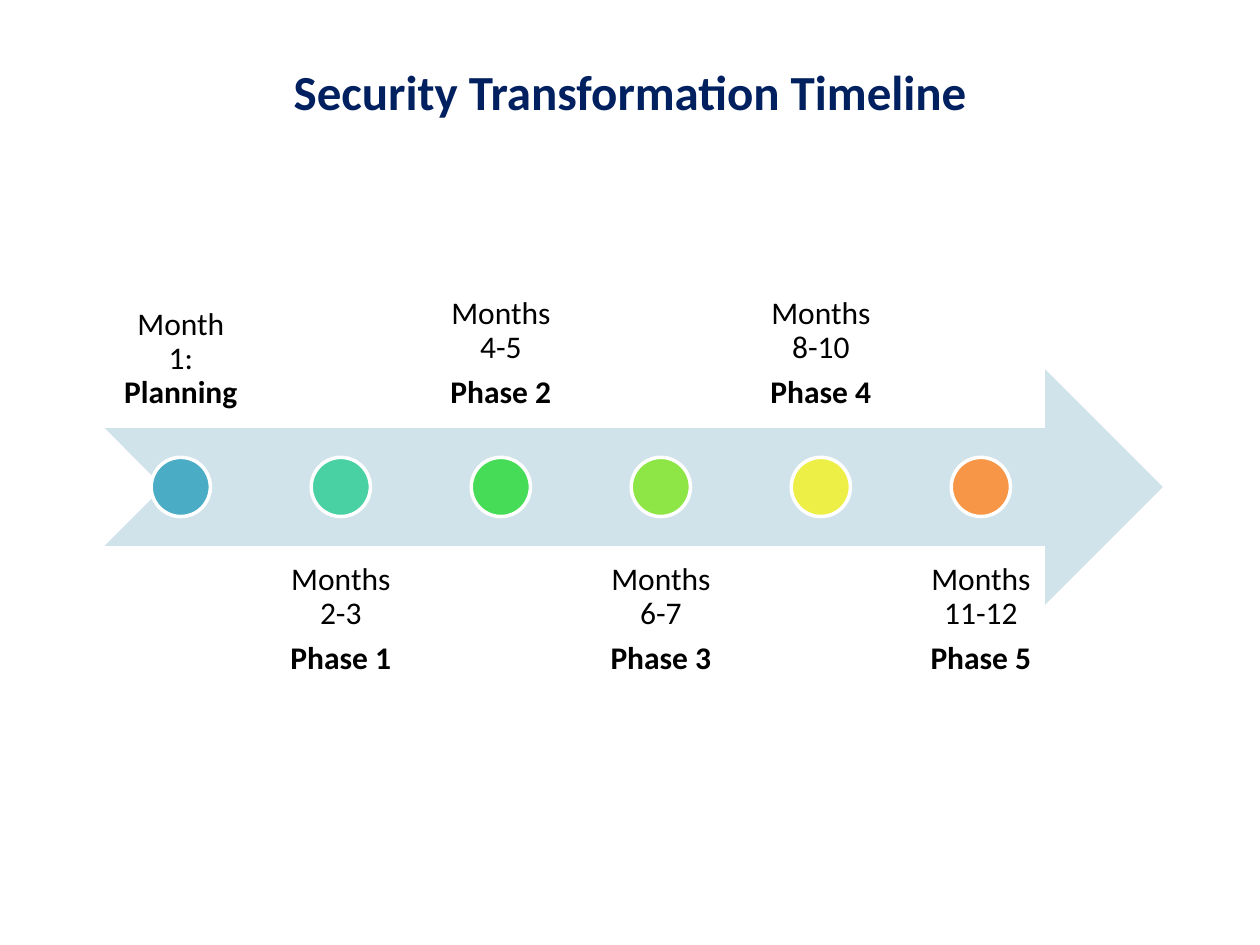
from dataclasses import dataclass

from pptx import Presentation
from pptx import util as u
from pptx.dml.color import RGBColor
from pptx.enum import shapes, text


@dataclass(frozen=True)
class Theme:
    font: str = "Calibri"
    title_color: str = "002060"
    label_color: str = "000000"
    arrow_color: str = "D0E3EA"
    outline_color: str = "FFFFFF"
    title_size: float = 28
    label_size: float = 18
    outline_width: float = 2


@dataclass(frozen=True)
class Run:
    text: str
    bold: bool = False


@dataclass(frozen=True)
class Milestone:
    color: str
    lines: tuple[tuple[Run, ...], ...]


def phase(color: str, months: str, name: str) -> Milestone:
    return Milestone(color, ((Run(months),), (Run(name, bold=True),)))


THEME = Theme()
MILESTONES = (
    Milestone("4BACC6", ((Run("Month 1: "), Run("Planning", bold=True)),)),
    phase("49D1A3", "Months 2-3", "Phase 1"),
    phase("47DC57", "Months 4-5", "Phase 2"),
    phase("8DE646", "Months 6-7", "Phase 3"),
    phase("EEEF46", "Months 8-10", "Phase 4"),
    phase("F79646", "Months 11-12", "Phase 5"),
)

ARROW_LEFT, ARROW_TOP, ARROW_WIDTH, BAND_HEIGHT = 0.83, 2.93, 8.4, 1.87
LABEL_WIDTH, LABEL_INSET, PITCH = 1.21, 0.14, 1.27
LABEL_ABOVE_TOP, LABEL_BELOW_TOP = 1.53, 4.33
DOT_SIZE = 0.47


def add_run(paragraph, run: Run, size: float, color: str) -> None:
    added = paragraph.add_run()
    added.text = run.text
    added.font.name = THEME.font
    added.font.size = u.Pt(size)
    added.font.bold = run.bold
    added.font.color.rgb = RGBColor.from_string(color)


def add_filled_shape(slide, kind, left: float, top: float, width: float,
                     height: float, color: str):
    shape = slide.shapes.add_shape(kind, u.Inches(left), u.Inches(top),
                                   u.Inches(width), u.Inches(height))
    shape.shadow.inherit = False
    shape.fill.solid()
    shape.fill.fore_color.rgb = RGBColor.from_string(color)
    shape.line.fill.background()
    return shape


def add_text_frame(slide, left: float, top: float, width: float, height: float,
                   anchor):
    frame = slide.shapes.add_textbox(u.Inches(left), u.Inches(top),
                                     u.Inches(width), u.Inches(height)).text_frame
    frame.word_wrap = True
    frame.vertical_anchor = anchor
    return frame


def add_title(slide, title: str) -> None:
    frame = add_text_frame(slide, 0.5, 0.23, 9, 0.98, text.MSO_ANCHOR.MIDDLE)
    paragraph = frame.paragraphs[0]
    paragraph.alignment = text.PP_ALIGN.CENTER
    add_run(paragraph, Run(title, bold=True), THEME.title_size, THEME.title_color)


def add_label(slide, milestone: Milestone, left: float, above: bool) -> None:
    frame = add_text_frame(
        slide, left, LABEL_ABOVE_TOP if above else LABEL_BELOW_TOP,
        LABEL_WIDTH, BAND_HEIGHT,
        text.MSO_ANCHOR.BOTTOM if above else text.MSO_ANCHOR.TOP)
    frame.margin_left = frame.margin_right = u.Inches(LABEL_INSET)
    frame.margin_top = frame.margin_bottom = u.Inches(LABEL_INSET)
    for number, line in enumerate(milestone.lines):
        paragraph = frame.add_paragraph() if number else frame.paragraphs[0]
        paragraph.alignment = text.PP_ALIGN.CENTER
        paragraph.line_spacing = 0.9
        paragraph.space_after = u.Pt(0.35 * THEME.label_size)
        for run in line:
            add_run(paragraph, run, THEME.label_size, THEME.label_color)


def add_milestone(slide, index: int, milestone: Milestone) -> None:
    """Draw a dot on the arrow, with labels alternating above and below it."""
    left = ARROW_LEFT + index * PITCH
    add_label(slide, milestone, left, above=index % 2 == 0)
    dot = add_filled_shape(slide, shapes.MSO_SHAPE.OVAL,
                           left + (LABEL_WIDTH - DOT_SIZE) / 2,
                           ARROW_TOP + (BAND_HEIGHT - DOT_SIZE) / 2,
                           DOT_SIZE, DOT_SIZE, milestone.color)
    dot.line.color.rgb = RGBColor.from_string(THEME.outline_color)
    dot.line.width = u.Pt(THEME.outline_width)


def main() -> None:
    deck = Presentation()
    deck.slide_width, deck.slide_height = u.Inches(10), u.Inches(7.5)
    slide = deck.slides.add_slide(deck.slide_layouts[6])
    add_title(slide, "Security Transformation Timeline")
    add_filled_shape(slide, shapes.MSO_SHAPE.NOTCHED_RIGHT_ARROW, ARROW_LEFT,
                     ARROW_TOP, ARROW_WIDTH, BAND_HEIGHT, THEME.arrow_color)
    for index, milestone in enumerate(MILESTONES):
        add_milestone(slide, index, milestone)
    deck.save("out.pptx")


if __name__ == "__main__":
    main()
